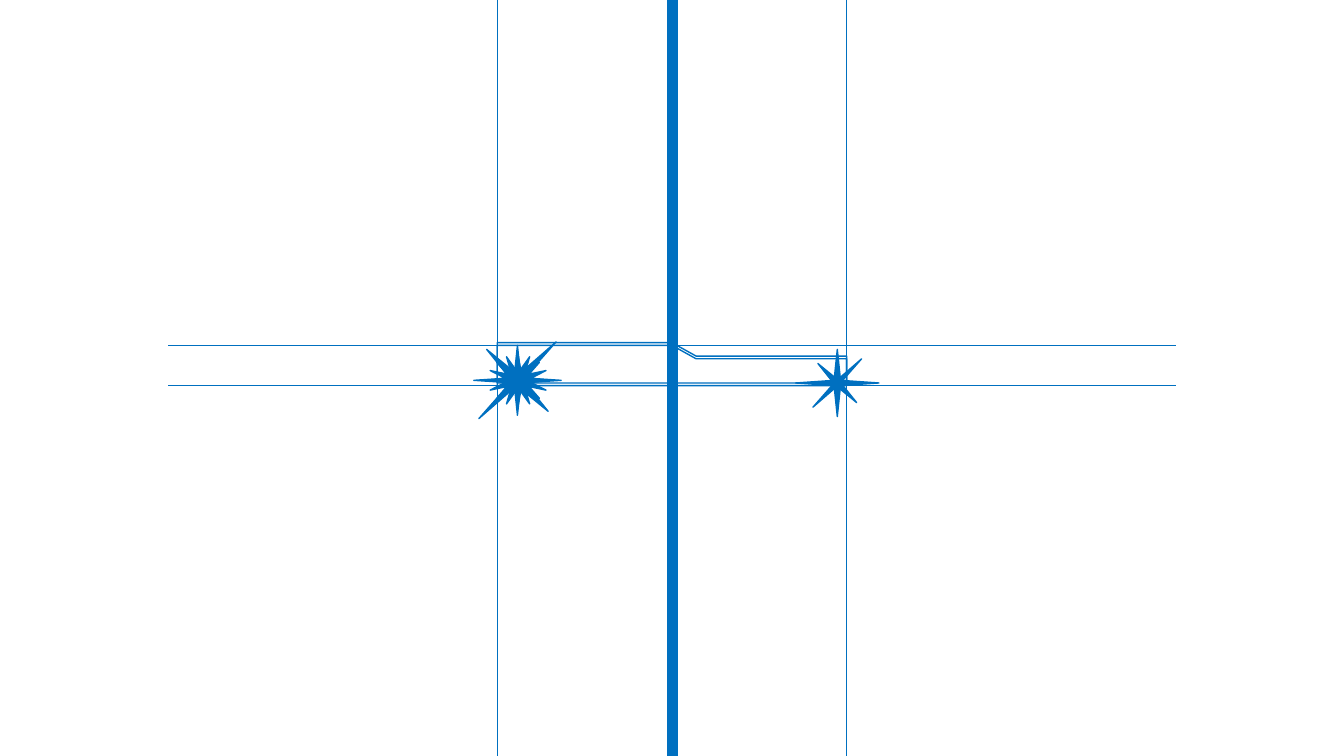
from lxml import etree
from pptx import Presentation
from pptx import util as u
from pptx.dml.color import RGBColor
from pptx.enum import shapes
from pptx.oxml import ns

COLOURS = {"blue": "0070C0", "white": "FFFFFF"}
WIDTH = 10
HEIGHT = WIDTH * 9 / 16
BLUE = RGBColor.from_string(COLOURS["blue"])
STAR = shapes.MSO_SHAPE


def style_line(item):
    """Give a shape or connector the thin blue line."""
    item.line.color.rgb = BLUE
    item.line.width = u.Pt(0.75)


def add_solid(page, kind, box, turn=0, depth=None):
    """Add a blue preset shape in box, optionally rotated and adjusted."""
    shape = page.shapes.add_shape(kind, *map(u.Inches, box))
    shape.shadow.inherit = False
    shape.fill.solid()
    shape.fill.fore_color.rgb = BLUE
    shape.rotation = turn
    if depth is not None:
        shape.adjustments[0] = depth
    style_line(shape)


def add_rule(page, start, end):
    """Add a straight guide line between two points."""
    rule = page.shapes.add_connector(
        shapes.MSO_CONNECTOR.STRAIGHT, *map(u.Inches, (*start, *end)))
    style_line(rule)
    etree.SubElement(rule._element.spPr, ns.qn("a:effectLst"))


def add_stepped_outline(page, box):
    """Draw an unfilled band whose top edge steps down right of the middle."""
    left, top, width, height = box
    right, bottom, step = left + width, top + height, top + 0.1
    points = [(left + 1.3, top), (left + 1.48, step), (right, step),
              (right, bottom), (left, bottom)]
    builder = page.shapes.build_freeform(
        u.Inches(left), u.Inches(top), scale=1.0)
    builder.add_line_segments(
        [(u.Inches(x), u.Inches(y)) for x, y in points], close=True)
    outline = builder.convert_to_shape()
    outline.shadow.inherit = False
    outline.fill.background()
    style_line(outline)


def add_starburst(page, centre, sizes, depth):
    """Layer four-point stars on one centre, from (width, height, turn)."""
    x, y = centre
    for width, height, turn in sizes:
        box = (x - width / 2, y - height / 2, width, height)
        add_solid(page, STAR.STAR_4_POINT, box, turn, depth)


def add_frame(page, box):
    """Build the crossing guides, centre bar and starbursts around box."""
    left, top, width, height = box
    right, bottom = left + width, top + height
    for rise in (0, 0.02):
        add_stepped_outline(page, (left, top - rise, width, height))
    for bar_left in (5, 4.97):
        add_solid(page, STAR.RECTANGLE, (bar_left, 0, 0.04, HEIGHT))
    for y in (top, bottom):
        add_rule(page, (1.25, y), (8.75, y))
    add_solid(page, STAR.STAR_16_POINT,
              (left - 0.07, top + 0.07, 0.45, 0.38), depth=0.22)
    add_starburst(page, (left + 0.15, top + 0.26),
                  [(0.65, 0.52, 0), (0.81, 0.65, 315.2)], 0.054)
    for x in (left, right):
        add_rule(page, (x, HEIGHT), (x, 0))
    add_starburst(page, (right - 0.07, top + 0.28),
                  [(0.62, 0.5, 0), (0.51, 0.41, 315.2)], 0.055)


def main():
    """Create and save the one-slide deck."""
    deck = Presentation()
    deck.slide_width, deck.slide_height = u.Inches(WIDTH), u.Inches(HEIGHT)
    page = deck.slides.add_slide(deck.slide_layouts[6])
    page.background.fill.solid()
    page.background.fill.fore_color.rgb = RGBColor.from_string(COLOURS["white"])
    add_frame(page, (3.7, 2.57, 2.6, 0.3))
    deck.save("out.pptx")


if __name__ == "__main__":
    main()
